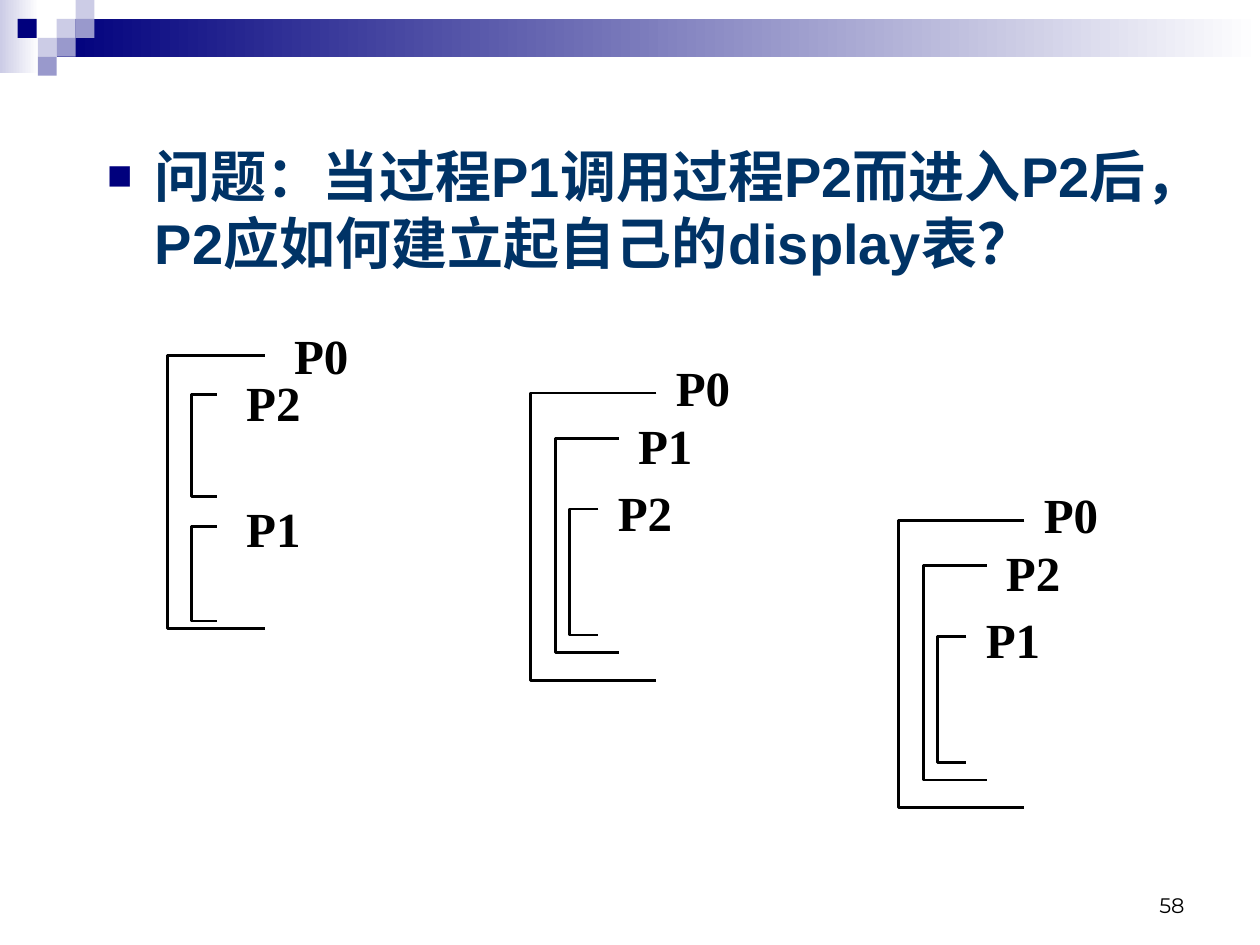
from dataclasses import dataclass

from lxml import etree
from pptx import Presentation
from pptx.dml.color import RGBColor
from pptx.enum.shapes import MSO_SHAPE
from pptx.enum.text import MSO_ANCHOR, MSO_AUTO_SIZE, PP_ALIGN
from pptx.oxml.ns import qn
from pptx.util import Inches, Pt

RECT = MSO_SHAPE.RECTANGLE
TOP, MIDDLE, BOTTOM = MSO_ANCHOR.TOP, MSO_ANCHOR.MIDDLE, MSO_ANCHOR.BOTTOM
LEFT, CENTER, RIGHT = PP_ALIGN.LEFT, PP_ALIGN.CENTER, PP_ALIGN.RIGHT
NO_FIT = MSO_AUTO_SIZE.NONE

NAVY, VIOLET, PALE = "00007D", "9999CC", "CCCCE6"
WHITE, BLACK, TEXT_BLUE = "FFFFFF", "000000", "003366"
SQUARE = 0.15


@dataclass
class Scope:
    """One procedure: its bracket and the place of its label."""
    name: str
    x: float
    y: float
    w: float
    h: float
    label_x: float
    label_y: float


def rgb(color: str) -> RGBColor:
    return RGBColor.from_string(color)


def add_rect(s, x: float, y: float, w: float, h: float, *colors: str) -> None:
    """Fill with one colour, or with a left-to-right gradient of two."""
    sp = s.shapes.add_shape(RECT, Inches(x), Inches(y), Inches(w), Inches(h))
    sp.shadow.inherit = False
    sp.line.fill.background()
    if len(colors) == 1:
        sp.fill.solid()
        sp.fill.fore_color.rgb = rgb(colors[0])
        return
    sp.fill.gradient()
    sp.fill.gradient_angle = 0
    for stop, color in zip(sp.fill.gradient_stops, colors):
        stop.color.rgb = rgb(color)


def add_run(p, text: str, size: float, font: str, color: str, bold: bool) -> None:
    r = p.add_run()
    r.text = text
    r.font.size = Pt(size)
    r.font.name = font
    r.font.bold = bold
    r.font.color.rgb = rgb(color)


def add_text(s, x: float, y: float, w: float, h: float, text: str, size: float,
             font: str, bold: bool, align, anchor, wrap: bool) -> None:
    tf = s.shapes.add_textbox(Inches(x), Inches(y), Inches(w), Inches(h)).text_frame
    tf.word_wrap = wrap
    tf.vertical_anchor = anchor
    p = tf.paragraphs[0]
    p.alignment = align
    add_run(p, text, size, font, BLACK, bold)


def add_scope(s, x: float, y: float, scope: Scope) -> None:
    left, top = Inches(x + scope.x), Inches(y + scope.y)
    right, bottom = left + Inches(scope.w), top + Inches(scope.h)
    outline = s.shapes.build_freeform(right, top)
    outline.add_line_segments([(left, top), (left, bottom), (right, bottom)], close=False)
    sp = outline.convert_to_shape()
    sp.shadow.inherit = False
    sp.fill.background()
    sp.line.color.rgb = rgb(BLACK)
    sp.line.width = Pt(1.5)
    add_text(s, x + scope.label_x, y + scope.label_y, 0.9, 0.5, scope.name, 28,
             "Times New Roman", True, CENTER, MIDDLE, False)


def nested(outer: str, middle: str, inner: str) -> list[Scope]:
    return [Scope(outer, 0, 0, 1, 2.28, 0.92, -0.3),
            Scope(middle, 0.2, 0.36, 0.5, 1.7, 0.62, 0.16),
            Scope(inner, 0.31, 0.92, 0.23, 1, 0.46, 0.69)]


def add_question(s, text: str) -> None:
    body = s.placeholders[1]
    body.left, body.top = Inches(0.75), Inches(1.07)
    body.width, body.height = Inches(8.67), Inches(1.25)
    tf = body.text_frame
    tf.auto_size = NO_FIT
    tf.word_wrap = True
    tf.vertical_anchor = TOP
    p = tf.paragraphs[0]
    p.alignment = LEFT
    p.space_before = Pt(0)
    # Square bullet with a hanging indent
    pPr = p._p.get_or_add_pPr()
    pPr.set("marL", str(Inches(0.38)))
    pPr.set("indent", str(-Inches(0.38)))
    color = etree.SubElement(pPr, qn("a:buClr"))
    etree.SubElement(color, qn("a:srgbClr"), val=NAVY)
    etree.SubElement(pPr, qn("a:buSzPct"), val="75000")
    etree.SubElement(pPr, qn("a:buFont"), typeface="Arial")
    etree.SubElement(pPr, qn("a:buChar"), char="■")
    add_run(p, text, 32, "Arial", TEXT_BLUE, True)


def main() -> None:
    prs = Presentation()
    prs.slide_width, prs.slide_height = Inches(10), Inches(7.5)
    s = prs.slides.add_slide(prs.slide_layouts[1])
    title = s.shapes.title._element
    title.getparent().remove(title)

    # Header band and mosaic
    add_rect(s, 0, 0, 0.31, 0.58, PALE, WHITE)
    add_rect(s, 0.45, 0.15, 9.55, 0.3, NAVY, WHITE)
    squares = [(0.45, 0.15, PALE), (0.6, 0, PALE), (0.6, 0.15, VIOLET),
               (0.3, 0.3, PALE), (0.14, 0.15, NAVY), (0.45, 0.3, VIOLET),
               (0.3, 0.45, VIOLET)]
    for x, y, color in squares:
        add_rect(s, x, y, SQUARE, SQUARE, color)

    add_question(s, "问题：当过程P1调用过程P2而进入P2后，P2应如何建立起自己的display表？")

    # Three ways the procedures can be nested
    siblings = [Scope("P0", 0, 0, 0.77, 2.17, 0.77, -0.25),
                Scope("P2", 0.19, 0.31, 0.2, 0.81, 0.39, 0.12),
                Scope("P1", 0.19, 1.36, 0.2, 0.75, 0.39, 1.12)]
    diagrams = [(1.33, 2.82, siblings),
                (4.21, 3.12, nested("P0", "P1", "P2")),
                (7.13, 4.13, nested("P0", "P2", "P1"))]
    for x, y, scopes in diagrams:
        for scope in scopes:
            add_scope(s, x, y, scope)

    # Page number
    add_text(s, 7.17, 6.83, 2.33, 0.5, "58", 12, "Montserrat", False, RIGHT, BOTTOM, True)

    prs.save("out.pptx")


if __name__ == "__main__":
    main()
